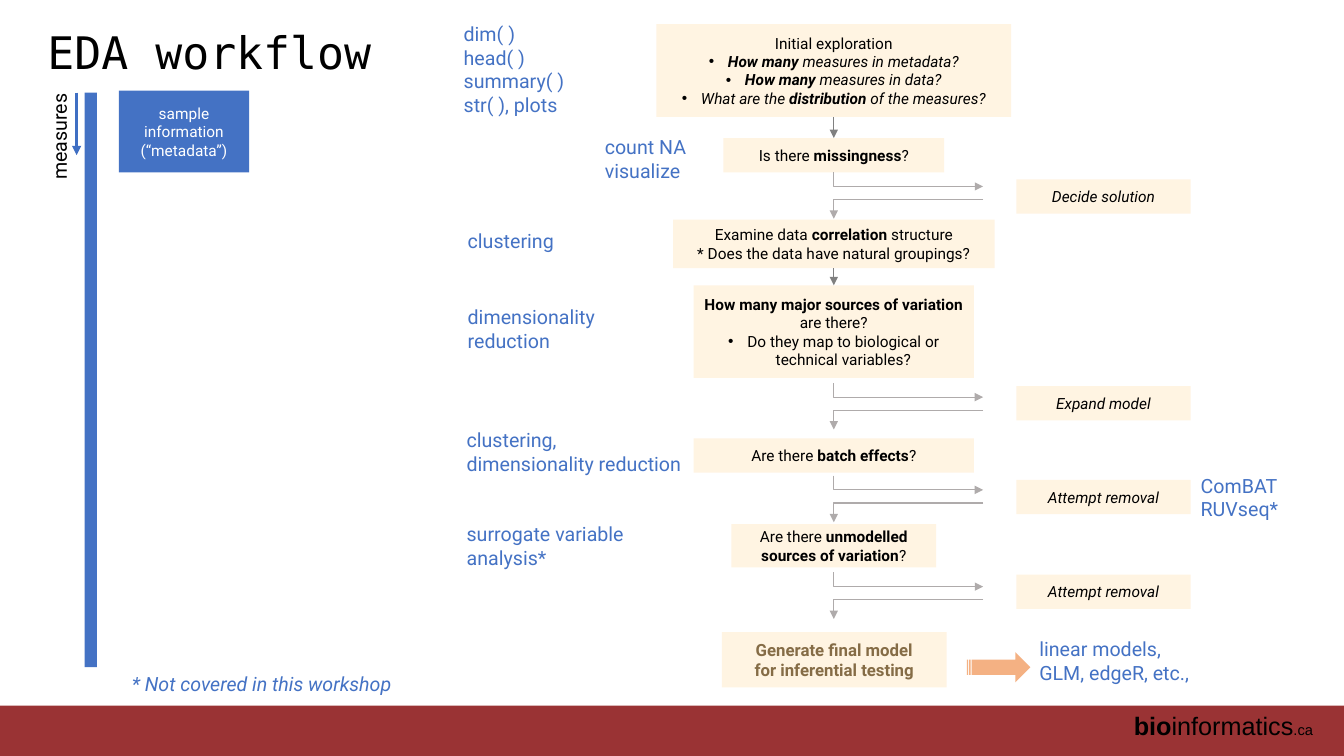
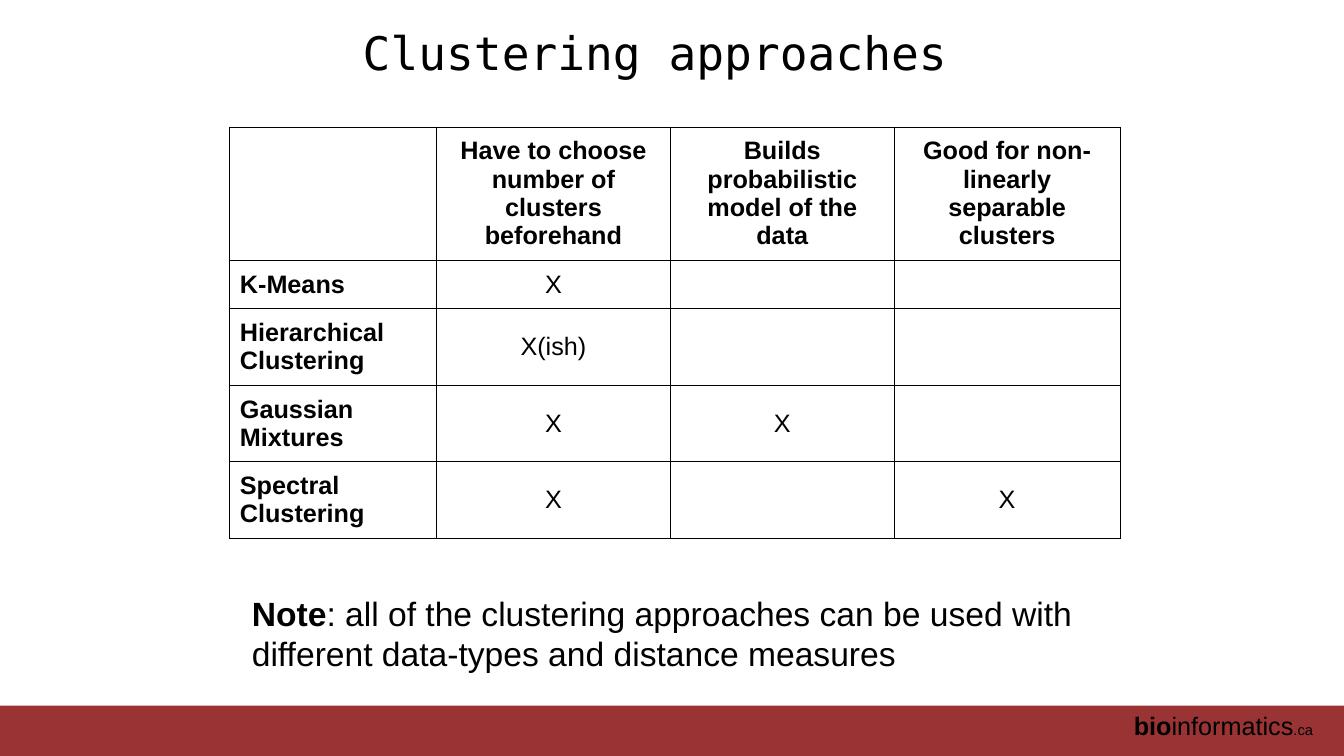
from lxml import etree
from pptx import Presentation
from pptx.dml.color import RGBColor
from pptx.enum.shapes import MSO_CONNECTOR as Link, MSO_SHAPE as Shape
from pptx.enum.text import MSO_ANCHOR as Anchor, MSO_AUTO_SIZE as Auto, PP_ALIGN as Align
from pptx.oxml.ns import qn
from pptx.util import Inches, Pt

BLACK = RGBColor(0x00, 0x00, 0x00)
WHITE = RGBColor(0xFF, 0xFF, 0xFF)
RED = RGBColor(0x9A, 0x33, 0x34)
BLUE = RGBColor(0x44, 0x72, 0xC4)
NAVY = RGBColor(0x3F, 0x6F, 0xC3)
CREAM = RGBColor(0xFF, 0xF4, 0xE2)
BROWN = RGBColor(0x85, 0x6C, 0x46)
PEACH = RGBColor(0xF4, 0xB1, 0x83)
GRAY = RGBColor(0x80, 0x80, 0x80)
SILVER = RGBColor(0xAF, 0xAB, 0xAB)
SANS, MONO, BODY = "Arial", "DejaVu Sans Mono", "Roboto"


def block(shapes, x, y, w, h, fill, kind=Shape.RECTANGLE):
    """Add a plain filled shape without outline or shadow."""
    shape = shapes.add_shape(kind, Inches(x), Inches(y), Inches(w), Inches(h))
    shape.shadow.inherit = False
    shape.fill.solid()
    shape.fill.fore_color.rgb = fill
    shape.line.fill.background()
    return shape


def put(frame, text, size, color=BLACK, font=BODY, align=Align.LEFT, italic=False):
    """Write one paragraph per line; |bars| mark bold, a leading • a bullet."""
    frame.word_wrap = True
    for i, line in enumerate(text.split("\n")):
        para = frame.add_paragraph() if i else frame.paragraphs[0]
        para.alignment = align
        if line.startswith("•"):
            line = line[1:]
            props = para._p.get_or_add_pPr()
            props.set("marL", str(Inches(0.19)))
            props.set("indent", str(Inches(-0.19)))
            etree.SubElement(props, qn("a:buFont")).set("typeface", SANS)
            etree.SubElement(props, qn("a:buChar")).set("char", "•")
        para.font.name = font
        para.font.size = Pt(size)
        para.font.color.rgb = color
        para.font.italic = italic
        for k, part in enumerate(line.split("|")):
            if part:
                run = para.add_run()
                run.text = part
                if k % 2:
                    run.font.bold = True


deck = Presentation()
deck.slide_width, deck.slide_height = Inches(13.33), Inches(7.5)
layout = deck.slide_layouts[5]
for holder in list(layout.placeholders):
    if holder.placeholder_format.idx >= 10:
        holder.element.getparent().remove(holder.element)

# Titles
pages = []
for text, x, y, w, h, size, align in [
    ("EDA workflow", 0.37, 0.09, 8.62, 0.92, 32, Align.LEFT),
    ("Clustering approaches", 1.57, -0.07, 9.85, 1.25, 33, Align.CENTER),
]:
    page = deck.slides.add_slide(layout)
    title = page.shapes.title
    title.left, title.top = Inches(x), Inches(y)
    title.width, title.height = Inches(w), Inches(h)
    frame = title.text_frame
    frame.auto_size = Auto.NONE
    frame.vertical_anchor = Anchor.MIDDLE
    put(frame, text, size, font=MONO, align=align)
    frame.paragraphs[0].line_spacing = 0.9
    pages.append(page.shapes)
flow, grid = pages

# Band and footer, moved to the shared layout
band = block(flow, 0, 7, 13.33, 0.5, RED)
foot = flow.add_textbox(Inches(10.2), Inches(7), Inches(2.92), Inches(0.4))
put(foot.text_frame, "|bio|informatics", 18, font=SANS, align=Align.RIGHT)
end = foot.text_frame.paragraphs[0].add_run()
end.text = ".ca"
end.font.size = Pt(10.5)
for i, shape in enumerate((band, foot)):
    layout.shapes.element.insert(2 + i, shape.element)

# Workflow: sample data on the left
block(flow, 0.84, 0.92, 0.12, 5.7, BLUE)
sample = block(flow, 1.18, 0.9, 1.29, 0.81, BLUE)
put(sample.text_frame, "sample information\n(“metadata”)", 11, WHITE, align=Align.CENTER)
label = flow.add_textbox(Inches(-0.57), Inches(1.82), Inches(2.32), Inches(0.34))
label.rotation = 270
put(label.text_frame, "measures", 14, align=Align.RIGHT)

# Workflow: main steps, centred on one axis
MID = 8.27
steps = []
for y, w, h, text in [
    (0.24, 3.52, 0.92, "Initial exploration\n•|How many| measures in metadata?\n"
     "•|How many| measures in data?\n•What are the |distribution| of the measures?"),
    (1.37, 2.19, 0.34, "Is there |missingness|?"),
    (2.18, 3.19, 0.48, "Examine data |correlation| structure\n"
     "* Does the data have natural groupings?"),
    (2.83, 2.78, 0.92, "|How many major sources of variation| are there?\n"
     "•Do they map to biological or technical variables?"),
    (4.35, 2.78, 0.34, "Are there |batch effects|?"),
    (5.2, 2.03, 0.43, "Are there |unmodelled sources of variation|?"),
]:
    step = block(flow, MID - w / 2, y, w, h, CREAM)
    put(step.text_frame, text, 11, align=Align.CENTER)
    steps.append(step)
for para in steps[0].text_frame.paragraphs[1:]:
    para.font.italic = True
final = block(flow, MID - 1.11, 6.27, 2.23, 0.55, CREAM)
put(final.text_frame, "|Generate final model|\n|for inferential testing|", 12, BROWN,
    align=Align.CENTER)

# Workflow: side actions
for y, text in [(1.78, "Decide solution"), (3.83, "Expand model"),
                (4.76, "Attempt removal"), (5.7, "Attempt removal")]:
    side = block(flow, 10.08, y, 1.73, 0.34, CREAM)
    put(side.text_frame, text, 11, align=Align.CENTER, italic=True)
block(flow, 9.59, 6.47, 0.63, 0.3, PEACH, Shape.STRIPED_RIGHT_ARROW)

# Workflow: arrows as kind, ends, colour, width, turned or not
links = [
    (Link.STRAIGHT, MID, 1.16, MID, 1.37, GRAY, 0.75, False),
    (Link.STRAIGHT, MID, 2.66, MID, 2.83, GRAY, 0.75, False),
    (Link.STRAIGHT, 0.76, 0.92, 0.76, 1.54, NAVY, 2.25, False),
]
for y in (1.71, 3.8, 4.72, 5.68):
    links += [
        (Link.ELBOW, MID + 0.67, y - 0.67, MID + 0.81, y + 0.81, SILVER, 0.75, True),
        (Link.ELBOW, MID + 1.48, y + 0.27, MID, y + 0.46, SILVER, 0.75, False),
    ]
arrows = []
for kind, x1, y1, x2, y2, color, width, turned in links:
    arrow = flow.add_connector(kind, Inches(x1), Inches(y1), Inches(x2), Inches(y2))
    arrow.line.color.rgb = color
    arrow.line.width = Pt(width)
    props = arrow.element.spPr
    etree.SubElement(props.find(qn("a:ln")), qn("a:tailEnd")).set("type", "triangle")
    etree.SubElement(props, qn("a:effectLst"))
    if kind == Link.ELBOW:
        props.find(qn("a:prstGeom")).set("prst", "bentConnector2")
    if turned:
        frame = props.find(qn("a:xfrm"))
        frame.set("rot", str(270 * 60000))
        frame.set("flipH", "1")
    arrows.append(arrow)
for arrow, i in zip(arrows, (0, 2)):
    arrow.begin_connect(steps[i], 2)
    arrow.end_connect(steps[i + 1], 0)

# Workflow: methods beside the steps
for x, y, w, h, text, italic in [
    (4.5, 0.17, 1.95, 1.04, "dim( )\nhead( )\nsummary( )\nstr( ), plots", False),
    (5.9, 1.29, 1.95, 0.57, "count NA\nvisualize", False),
    (4.54, 2.22, 1.95, 0.34, "clustering", False),
    (4.54, 2.98, 1.95, 0.57, "dimensionality\nreduction", False),
    (4.53, 4.2, 2.34, 0.57, "clustering, dimensionality reduction", False),
    (4.53, 5.13, 2.34, 0.57, "surrogate variable analysis*", False),
    (11.81, 4.65, 1.73, 0.57, "ComBAT\nRUVseq*", False),
    (10.21, 6.27, 1.73, 0.57, "linear models,\nGLM, edgeR, etc.,", False),
    (1.21, 6.62, 3.08, 0.34, "* Not covered in this workshop", True),
]:
    hint = flow.add_textbox(Inches(x), Inches(y), Inches(w), Inches(h))
    put(hint.text_frame, text, 14, BLUE, italic=italic)

# Clustering table
rows = [
    ("", "|Have to choose number of clusters beforehand|",
     "|Builds probabilistic model of the data|",
     "|Good for non-linearly|\n|separable clusters|"),
    ("|K-Means|", "X", "", ""),
    ("|Hierarchical Clustering|", "X(ish)", "", ""),
    ("|Gaussian Mixtures|", "X", "X", ""),
    ("|Spectral Clustering|", "X", "", "X"),
]
table = grid.add_table(5, 4, Inches(2.28), Inches(1.26), Inches(8.83), Inches(4.07)).table
table.first_row = table.horz_banding = False
for column, width in zip(table.columns, (2.05, 2.32, 2.22, 2.24)):
    column.width = Inches(width)
for row, height, texts in zip(table.rows, (1.32, 0.47, 0.76, 0.76, 0.76), rows):
    row.height = Inches(height)
    for i, (cell, text) in enumerate(zip(row.cells, texts)):
        cell.vertical_anchor = Anchor.MIDDLE
        cell.margin_left = cell.margin_right = Inches(0.1)
        cell.margin_top = cell.margin_bottom = Inches(0.1)
        props = cell._tc.get_or_add_tcPr()
        for side in ("a:lnL", "a:lnR", "a:lnT", "a:lnB"):
            edge = etree.SubElement(props, qn(side), w=str(Pt(0.75)))
            fill = etree.SubElement(edge, qn("a:solidFill"))
            etree.SubElement(fill, qn("a:srgbClr"), val=str(BLACK))
        cell.fill.background()
        put(cell.text_frame, text, 18, font=SANS, align=Align.CENTER if i else Align.LEFT)

note = grid.add_textbox(Inches(2.4), Inches(5.78), Inches(8.53), Inches(0.91))
note.text_frame.margin_top = note.text_frame.margin_bottom = Inches(0.1)
put(note.text_frame, "|Note|: all of the clustering approaches can be used with "
    "different data-types and distance measures", 24, font=SANS)

deck.save("out.pptx")
